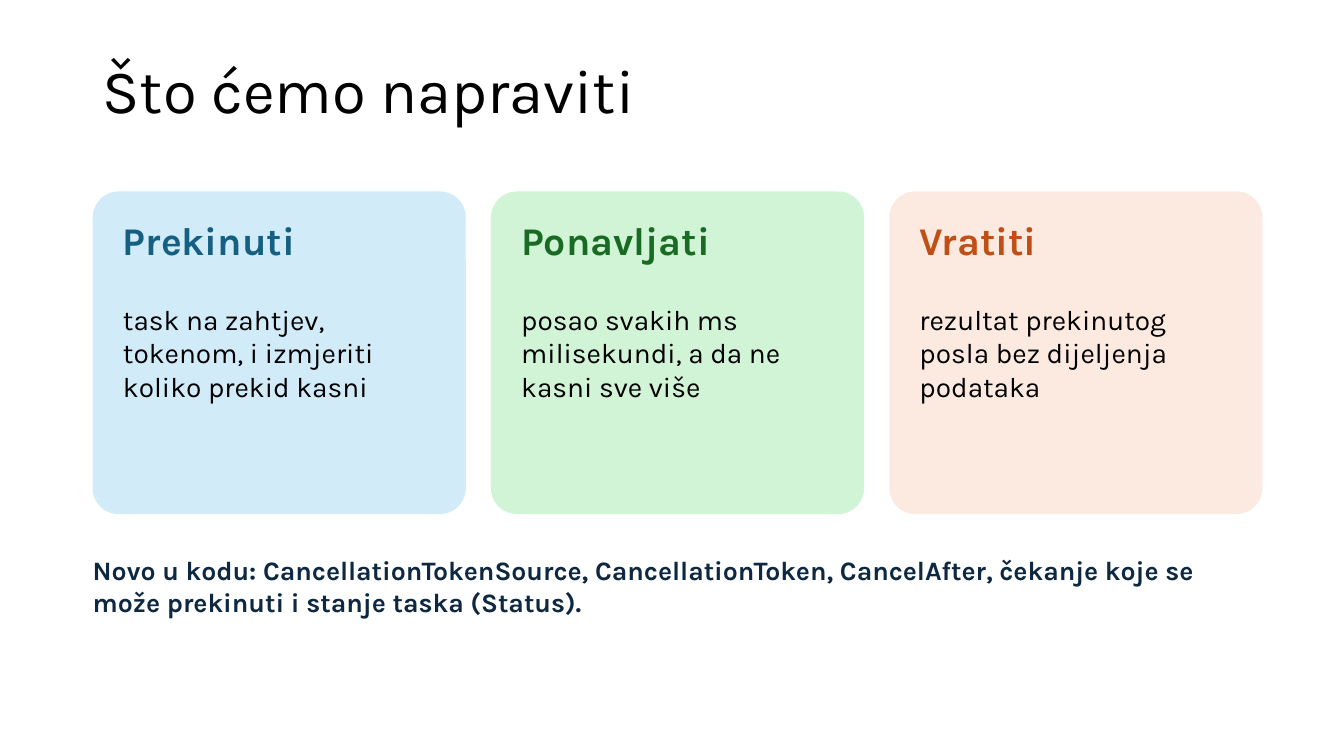
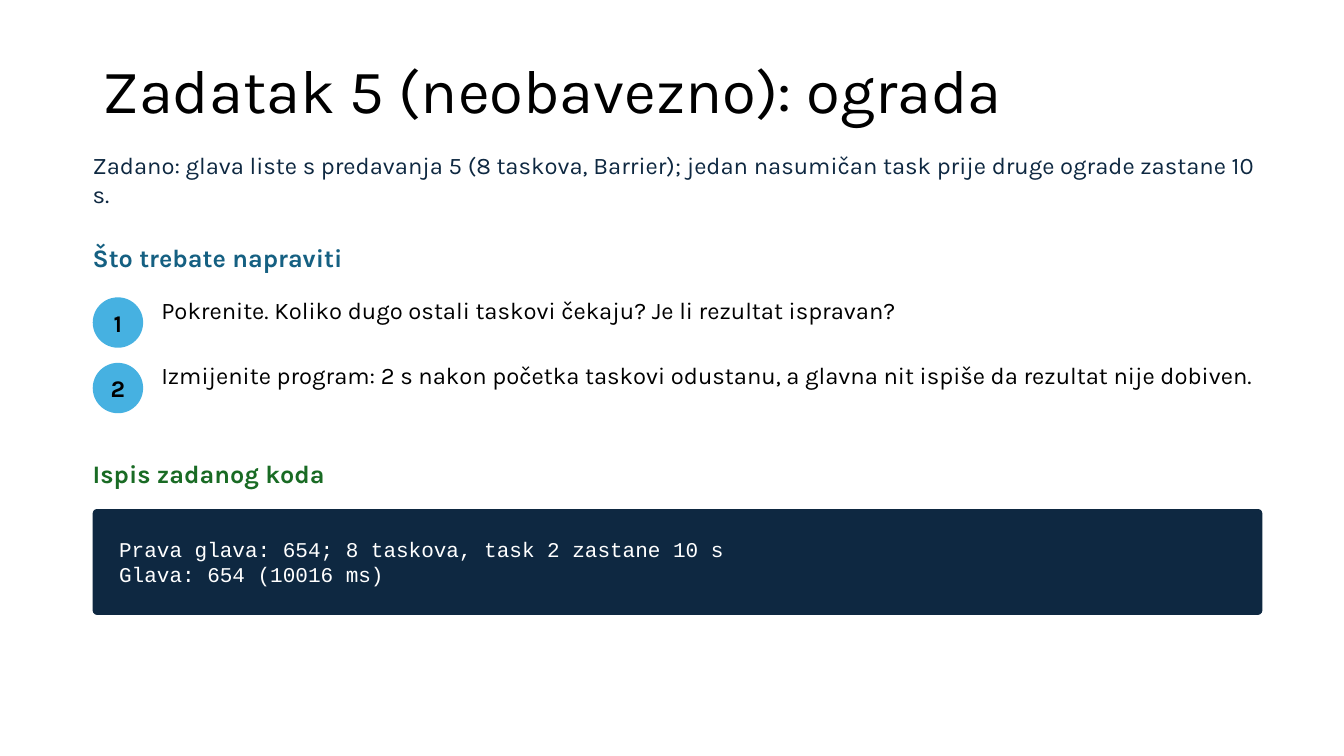
"""Build two lesson slides: the plan in three cards and an optional exercise."""
from pptx import Presentation
from pptx.dml.color import RGBColor
from pptx.enum.shapes import MSO_SHAPE as SHAPE
from pptx.enum.text import MSO_ANCHOR as ANCHOR, PP_ALIGN as ALIGN
from pptx.util import Inches, Pt

CELL, MARGIN, FULL = 0.1, 0.92, 116
NAVY, BLUE, GREEN, ORANGE = "0E2841", "156082", "196B24", "C04F15"
BLACK, WHITE, SKY = "000000", "FFFFFF", "46B1E1"


def rgb(value):
    return RGBColor.from_string(value)


def put(slide, box, text="", size=17, color=BLACK, bold=False, font="Karla",
        kind=None, fill=None, radius=None, insets=(0, 0, 0, 0),
        anchor=ANCHOR.TOP, align=ALIGN.LEFT, spacing=None):
    col, row, cols, rows = box
    place = [Inches(v) for v in (MARGIN + col * CELL, row * CELL, cols * CELL, rows * CELL)]
    if kind is None:
        sp = slide.shapes.add_textbox(*place)
    else:
        sp = slide.shapes.add_shape(kind, *place)
        sp.shadow.inherit = False
        sp.fill.solid()
        sp.fill.fore_color.rgb = rgb(fill)
        sp.line.fill.background()
        if radius is not None:
            sp.adjustments[0] = radius
    if not text:
        return
    tf = sp.text_frame
    left, top, right, bottom = [Inches(v) for v in insets]
    frame = {"word_wrap": True, "vertical_anchor": anchor, "margin_left": left,
             "margin_top": top, "margin_right": right, "margin_bottom": bottom}
    for name, value in frame.items():
        setattr(tf, name, value)
    for i, line in enumerate(text.split("\n")):
        p = tf.add_paragraph() if i else tf.paragraphs[0]
        p.alignment = align
        p.line_spacing = spacing
        r = p.add_run()
        r.text = line
        for name, value in {"size": Pt(size), "name": font, "bold": bold}.items():
            setattr(r.font, name, value)
        r.font.color.rgb = rgb(color)


prs = Presentation()
prs.slide_width, prs.slide_height = Inches(13.33), Inches(7.5)

slides = []
for title in ("Što ćemo napraviti", "Zadatak 5 (neobavezno): ograda"):
    s = prs.slides.add_slide(prs.slide_layouts[6])
    put(s, (0, 4, 115, 10.6), title, 44, insets=(0.1, 0.05, 0.1, 0.05),
        anchor=ANCHOR.MIDDLE, spacing=0.9)
    slides.append(s)
plan, task = slides

cards = [
    ("Prekinuti", "task na zahtjev, tokenom, i izmjeriti koliko prekid kasni", BLUE, "D1EBF8"),
    ("Ponavljati", "posao svakih ms milisekundi, a da ne kasni sve više", GREEN, "D1F4D6"),
    ("Vratiti", "rezultat prekinutog posla bez dijeljenja podataka", ORANGE, "FCEAE0"),
]
gap, pad = 2.5, 3
width = (FULL - gap * (len(cards) - 1)) / len(cards)
for i, (head, body, color, fill) in enumerate(cards):
    col = i * (width + gap)
    put(plan, (col, 19, width, 32), kind=SHAPE.ROUNDED_RECTANGLE, fill=fill, radius=0.08)
    put(plan, (col + pad, 21.5, width - 2 * pad, 6), head, 28, color, True)
    put(plan, (col + pad, 30, width - 2 * pad, 19), body, 20)
put(plan, (0, 55, FULL, 9),
    "Novo u kodu: CancellationTokenSource, CancellationToken, CancelAfter, "
    "čekanje koje se može prekinuti i stanje taska (Status).", 19, NAVY, True)

put(task, (0, 15, FULL, 5),
    "Zadano: glava liste s predavanja 5 (8 taskova, Barrier); "
    "jedan nasumičan task prije druge ograde zastane 10 s.", color=NAVY)
for row, head, color in ((24, "Što trebate napraviti", BLUE), (45.5, "Ispis zadanog koda", GREEN)):
    put(task, (0, row, 66, 4), head, 18, color, True)

steps = [
    "Pokrenite. Koliko dugo ostali taskovi čekaju? Je li rezultat ispravan?",
    "Izmijenite program: 2 s nakon početka taskovi odustanu, "
    "a glavna nit ispiše da rezultat nije dobiven.",
]
for i, step in enumerate(steps):
    row = 29.5 + i * 6.5
    put(task, (0, row, 5, 5), str(i + 1), bold=True, kind=SHAPE.OVAL, fill=SKY,
        insets=(0.05, 0.02, 0.05, 0.02), anchor=ANCHOR.MIDDLE, align=ALIGN.CENTER)
    put(task, (6.8, row - 0.2, 109, 6.5), step)

put(task, (0, 50.5, FULL, 10.5),
    "Prava glava: 654; 8 taskova, task 2 zastane 10 s\nGlava: 654 (10016 ms)",
    15, WHITE, font="Courier New", kind=SHAPE.ROUNDED_RECTANGLE, fill=NAVY, radius=0.04,
    insets=(0.25, 0.05, 0.1, 0.05), anchor=ANCHOR.MIDDLE)

prs.save("out.pptx")
